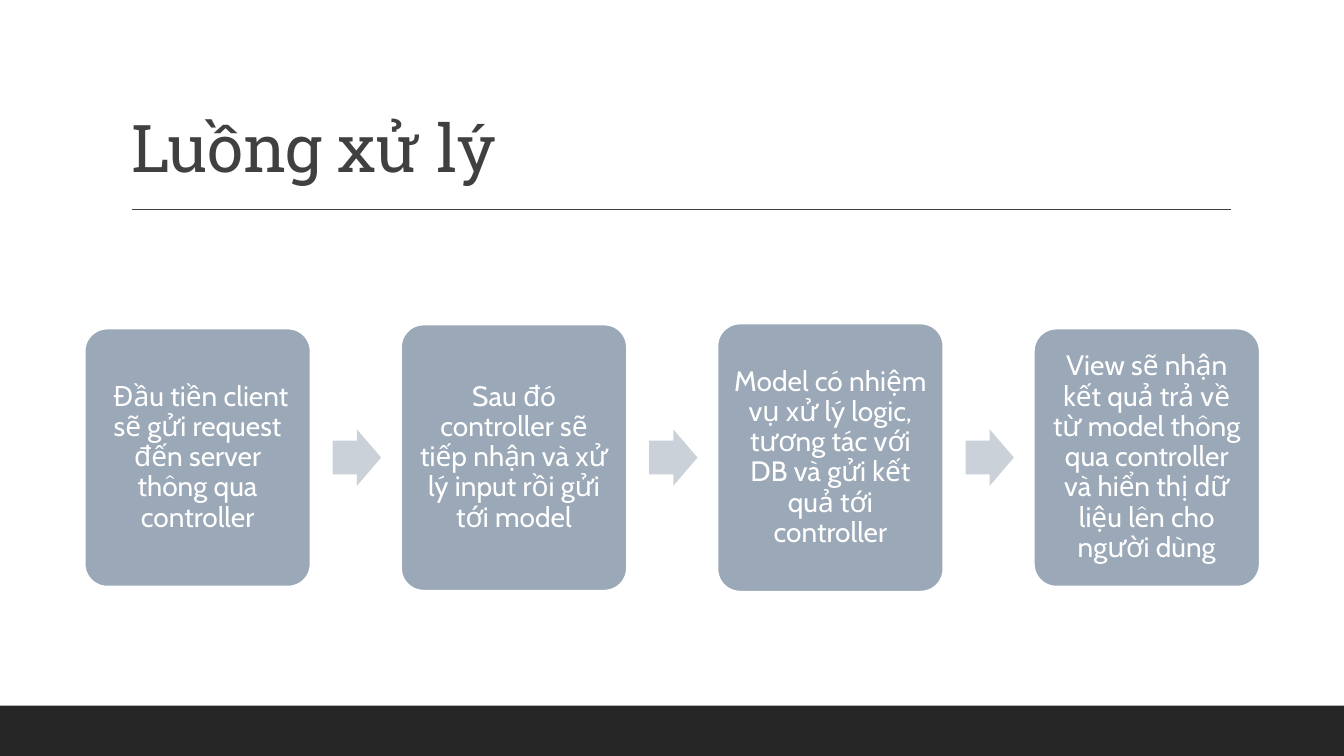
from dataclasses import dataclass

from lxml.etree import SubElement
from pptx import Presentation
from pptx.dml.color import RGBColor
from pptx.enum.shapes import MSO_CONNECTOR, MSO_SHAPE
from pptx.enum.text import MSO_ANCHOR, MSO_AUTO_SIZE, PP_ALIGN
from pptx.oxml.ns import qn
from pptx.shapes.autoshape import Shape
from pptx.slide import Slide
from pptx.util import Inches, Pt

COLORS = {
    "ink": "404040",
    "footer": "262626",
    "card": "9BA8B7",
    "arrow": "CBD1D8",
    "white": "FFFFFF",
}
TITLE_FONT, BODY_FONT = "Roboto Slab", "Cabin"
SLIDE_W, SLIDE_H = 13.33, 7.5
FOOTER_H = 0.5

FLOW_LEFT, FLOW_MIDDLE = 0.84, 4.54
COLUMN_STEP = 3.138
CARD_W = 2.24
ARROW_OFFSET, ARROW_W, ARROW_H = 2.46, 0.48, 0.56


@dataclass(frozen=True)
class Step:
    text: str
    height: float


STEPS = [
    Step(" Đầu tiền client sẽ gửi request đến server thông qua controller", 2.56),
    Step("Sau đó controller sẽ tiếp nhận và xử lý input rồi gửi tới model", 2.64),
    Step("Model có nhiệm vụ xử lý logic, tương tác với DB và gửi kết quả tới controller", 2.66),
    Step("View sẽ nhận kết quả trả về từ model thông qua controller "
         "và hiển thị dữ liệu lên cho người dùng", 2.56),
]


def rgb(name: str) -> RGBColor:
    return RGBColor.from_string(COLORS[name])


def add_filled(s: Slide, kind: MSO_SHAPE, left: float, top: float,
               width: float, height: float, color: str) -> Shape:
    """Add a preset shape with a plain fill, no outline and no shadow."""
    sp = s.shapes.add_shape(kind, Inches(left), Inches(top), Inches(width), Inches(height))
    sp.shadow.inherit = False
    sp.fill.solid()
    sp.fill.fore_color.rgb = rgb(color)
    sp.line.fill.background()
    return sp


def add_title(s: Slide, text: str) -> None:
    sp = s.shapes.title
    sp.left, sp.top, sp.width, sp.height = (Inches(v) for v in (1.2, 0.31, 11, 1.59))
    tf = sp.text_frame
    tf.auto_size = MSO_AUTO_SIZE.NONE
    tf.vertical_anchor = MSO_ANCHOR.BOTTOM
    p = tf.paragraphs[0]
    p.alignment = PP_ALIGN.LEFT
    p.line_spacing = 0.9
    r = p.add_run()
    r.text = text
    r.font.name, r.font.size = TITLE_FONT, Pt(47)
    r.font.color.rgb = rgb("ink")
    r._r.get_or_add_rPr().set("spc", "-50")


def add_title_rule(s: Slide) -> None:
    line = s.shapes.add_connector(MSO_CONNECTOR.STRAIGHT, Inches(1.31), Inches(2.08),
                                  Inches(12.21), Inches(2.08))
    line.line.color.rgb = rgb("ink")
    line.line.width = Pt(1)
    SubElement(line._element.spPr, qn("a:effectLst"))


def add_card(s: Slide, step: Step, left: float) -> None:
    sp = add_filled(s, MSO_SHAPE.ROUNDED_RECTANGLE, left, FLOW_MIDDLE - step.height / 2,
                    CARD_W, step.height, "card")
    sp.adjustments[0] = 0.1
    sp.line.color.rgb = rgb("white")
    sp.line.width = Pt(1.25)
    tf = sp.text_frame
    tf.word_wrap = True
    tf.vertical_anchor = MSO_ANCHOR.MIDDLE
    tf.margin_left = tf.margin_right = tf.margin_top = tf.margin_bottom = Inches(0.08)
    p = tf.paragraphs[0]
    p.text = step.text
    p.alignment = PP_ALIGN.CENTER
    p.line_spacing = 0.9
    p.font.name, p.font.size = BODY_FONT, Pt(20)
    p.font.color.rgb = rgb("white")


def add_arrow(s: Slide, left: float) -> None:
    sp = add_filled(s, MSO_SHAPE.RIGHT_ARROW, left, FLOW_MIDDLE - ARROW_H / 2,
                    ARROW_W, ARROW_H, "arrow")
    sp.adjustments[0], sp.adjustments[1] = 0.6, 0.5


def main() -> None:
    prs = Presentation()
    prs.slide_width, prs.slide_height = Inches(SLIDE_W), Inches(SLIDE_H)
    s = prs.slides.add_slide(prs.slide_layouts[5])
    add_filled(s, MSO_SHAPE.RECTANGLE, 0, SLIDE_H - FOOTER_H, SLIDE_W, FOOTER_H, "footer")
    add_title_rule(s)
    add_title(s, "Luồng xử lý")
    for i, step in enumerate(STEPS):
        left = FLOW_LEFT + i * COLUMN_STEP
        add_card(s, step, left)
        if i < len(STEPS) - 1:
            add_arrow(s, left + ARROW_OFFSET)
    prs.save("out.pptx")


if __name__ == "__main__":
    main()
